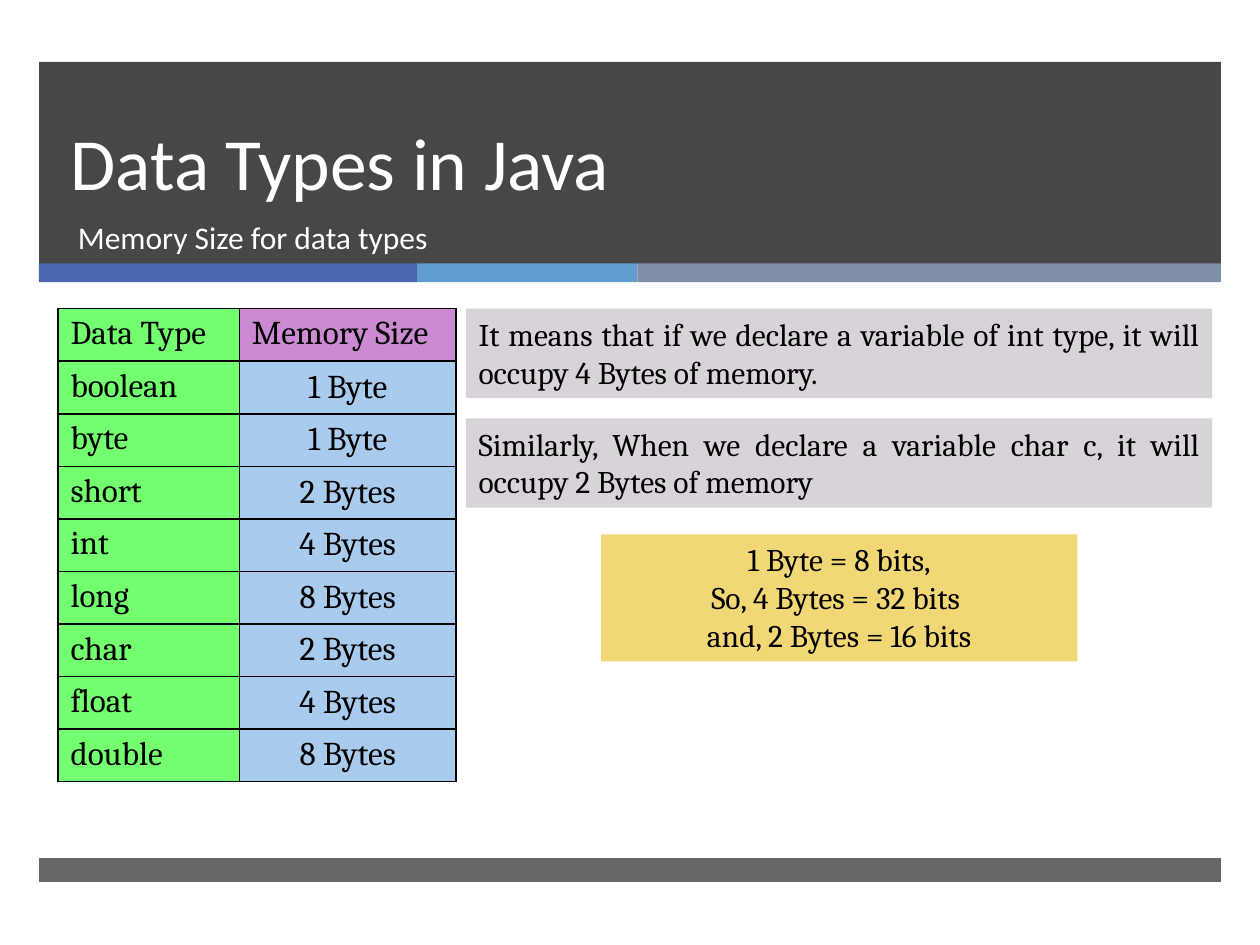
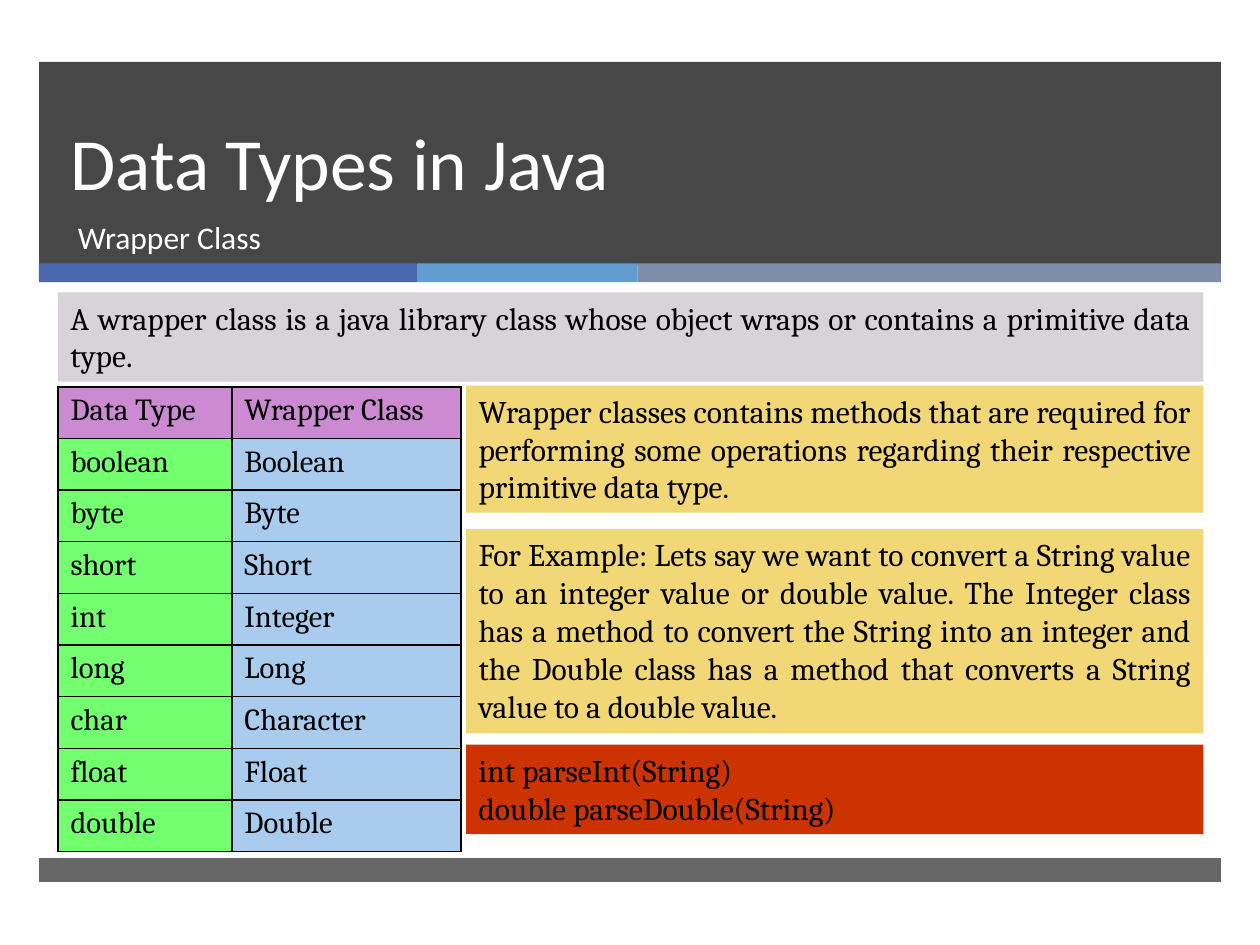
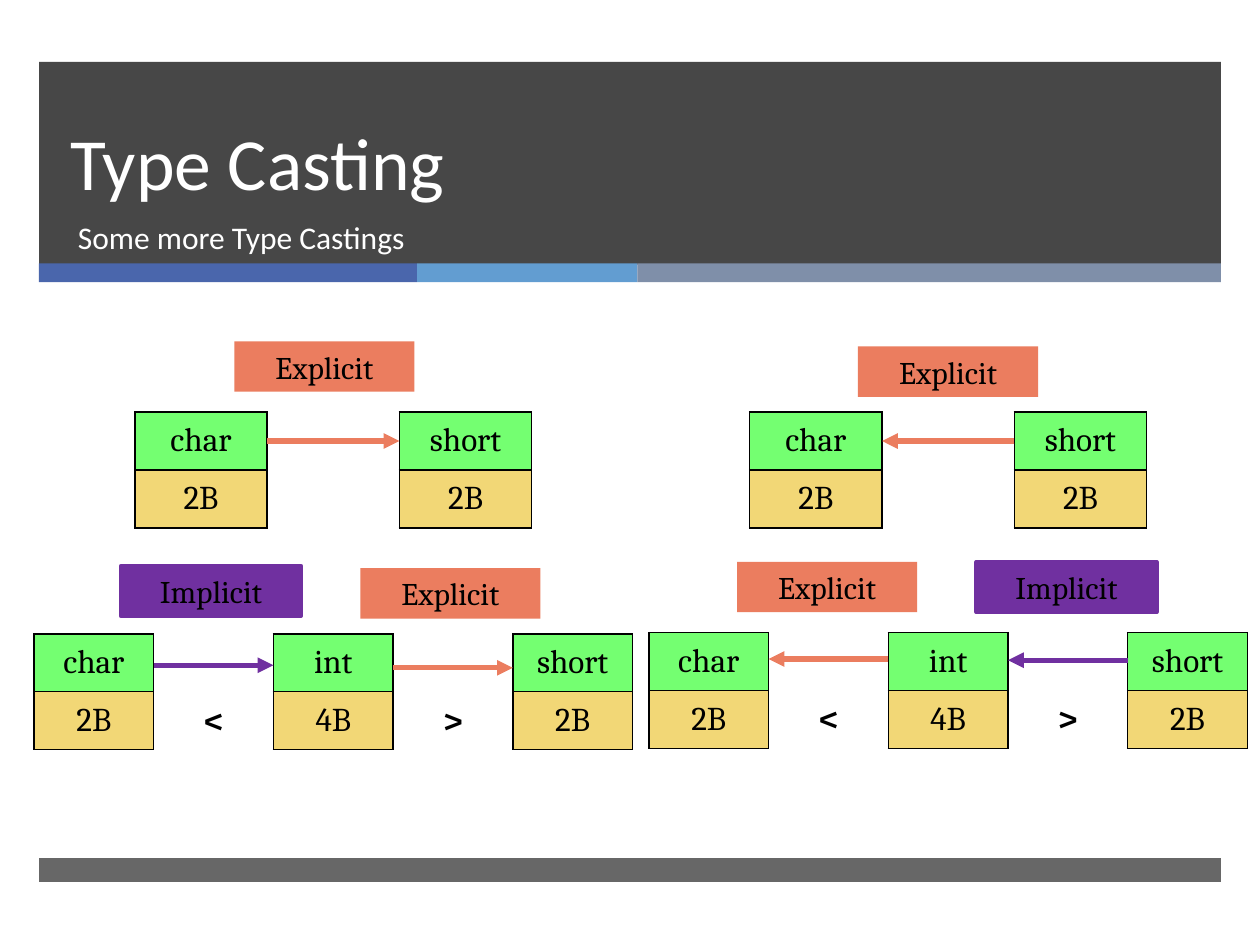
"""Builds three slides on Java data types, wrapper classes and type casting."""
from itertools import accumulate

from lxml.etree import SubElement
from pptx import Presentation
from pptx.dml.color import RGBColor
from pptx.enum.shapes import MSO_CONNECTOR, MSO_SHAPE
from pptx.enum.text import MSO_ANCHOR, MSO_AUTO_SIZE, PP_ALIGN
from pptx.oxml.ns import qn
from pptx.util import Inches, Pt

COLORS = {
    "black": "000000", "white": "FFFFFF", "header": "474747", "footer": "676767",
    "blue": "4A66AC", "sky": "629DD1", "slate": "7F8FA9", "green": "74FF71",
    "purple": "CB8AD2", "pale": "A9CCEE", "yellow": "F2D776", "grey": "D8D3D9",
    "red": "CC3300", "Explicit": "EB7D5F", "Implicit": "7030A0",
}
WIDTH, HEIGHT = 10, 7.5
MARGIN = 0.31
STRIPES = [("blue", 3), ("sky", 1.75), ("slate", 4.63)]
CONTENT_LEFT, NOTES_LEFT = 0.46, 3.7
TYPE_ROW, CAST_ROW = 0.41, 0.46
LABEL_SIZE = (1.43, 0.4)
ALIGN = {"left": PP_ALIGN.LEFT, "center": PP_ALIGN.CENTER, "justify": PP_ALIGN.JUSTIFY}
ANCHOR = {"top": MSO_ANCHOR.TOP, "middle": MSO_ANCHOR.MIDDLE, "bottom": MSO_ANCHOR.BOTTOM}

TYPES = ["boolean", "byte", "short", "int", "long", "char", "float", "double"]
SIZES = ["1 Byte", "1 Byte", "2 Bytes", "4 Bytes", "8 Bytes", "2 Bytes", "4 Bytes", "8 Bytes"]
WRAPPERS = ["Boolean", "Byte", "Short", "Integer", "Long", "Character", "Float", "Double"]

TYPE_SLIDES = [
    dict(
        title="Data Types in Java", subtitle="Memory Size for data types",
        heads=[("Data Type", "green"), ("Memory Size", "purple")], values=SIZES,
        top=2.45, columns=[1.44, 1.72], size=19,
        value_format=dict(align="center", anchor="middle"),
        notes=[
            ("It means that if we declare a variable of int type, it will occupy 4 Bytes of memory.",
             "grey", (NOTES_LEFT, 2.45, 5.92, 0.71), "justify"),
            ("Similarly, When we declare a variable char c, it will occupy 2 Bytes of memory",
             "grey", (NOTES_LEFT, 3.32, 5.92, 0.71), "justify"),
            ("1 Byte = 8 bits,\nSo, 4 Bytes = 32 bits \nand, 2 Bytes = 16 bits",
             "yellow", (4.77, 4.24, 3.78, 1.01), "center"),
        ],
    ),
    dict(
        title="Data Types in Java", subtitle="Wrapper Class",
        heads=[("Data Type", "purple"), ("Wrapper Class", "purple")], values=WRAPPERS,
        top=3.07, columns=[1.38, 1.82], size=17.5, value_format={},
        notes=[
            ("A wrapper class is a java library class whose object wraps or contains "
             "a primitive data type. ",
             "grey", (CONTENT_LEFT, 2.32, 9.09, 0.71), "justify"),
            ("Wrapper classes contains methods that are required for performing some "
             "operations regarding their respective primitive data type.",
             "yellow", (NOTES_LEFT, 3.06, 5.85, 1.01), "justify"),
            ("For Example: Lets say we want to convert a String value to an integer value or "
             "double value. The Integer class has a method to convert the String into an "
             "integer and the Double class has a method that converts a String value to a "
             "double value.",
             "yellow", (NOTES_LEFT, 4.2, 5.85, 1.62), "justify"),
            ("int parseInt(String)\ndouble parseDouble(String)",
             "red", (NOTES_LEFT, 5.91, 5.85, 0.71), "left"),
        ],
    ),
]

PAIR = (["char", "", "short"], ["2B", "", "2B"])
TRIPLE = (["char", "", "int", "", "short"], ["2B", "<", "4B", ">", "2B"])
CAST_SLIDE = dict(
    title="Type Casting", subtitle="Some more Type Castings",
    chains=[
        dict(rows=PAIR, at=(1.07, 3.27), column=1.05, backward=False, label_shift=0.26,
             casts=[("Explicit", 0.23, 0.79)]),
        dict(rows=PAIR, at=(5.95, 3.27), column=1.05, backward=True, label_shift=0.19,
             casts=[("Explicit", 0.23, 0.75)]),
        dict(rows=TRIPLE, at=(0.27, 5.03), column=0.95, backward=False, label_shift=0.26,
             casts=[("Implicit", 0.25, 0.79), ("Explicit", 0.27, 0.79)]),
        dict(rows=TRIPLE, at=(5.15, 5.02), column=0.95, backward=True, label_shift=0.25,
             casts=[("Explicit", 0.21, 0.77), ("Implicit", 0.22, 0.78)]),
    ],
)


def rgb(name):
    return RGBColor.from_string(COLORS[name])


def inches(lengths):
    return [Inches(length) for length in lengths]


def write(frame, text, size=18, font="Cambria", color="black", bold=False,
          align="left", anchor="top", spacing=None):
    frame.word_wrap = True
    frame.vertical_anchor = ANCHOR[anchor]
    frame.text = text
    for paragraph in frame.paragraphs:
        paragraph.alignment = ALIGN[align]
        if spacing:
            paragraph.line_spacing = Pt(spacing)
        for run in paragraph.runs:
            run.font.size, run.font.name, run.font.bold = Pt(size), font, bold
            run.font.color.rgb = rgb(color)


def add_box(slide, color, box, text="", outline=None, **text_format):
    shape = slide.shapes.add_shape(MSO_SHAPE.RECTANGLE, *inches(box))
    shape.shadow.inherit = False
    shape.fill.solid()
    shape.fill.fore_color.rgb = rgb(color)
    if outline:
        shape.line.color.rgb = rgb(color)
        shape.line.width = Pt(outline)
    else:
        shape.line.fill.background()
    if text:
        write(shape.text_frame, text, **text_format)
    return shape


def add_bands(slide):
    span = WIDTH - 2 * MARGIN
    bands = [("header", (MARGIN, 0.49, span, 1.61)), ("footer", (MARGIN, 6.81, span, 0.19))]
    lefts = accumulate((width for _, width in STRIPES), initial=MARGIN)
    bands += [(color, (left, 2.09, width, 0.15)) for (color, width), left in zip(STRIPES, lefts)]
    layout_tree = slide.slide_layout.shapes._spTree
    for index, (color, box) in enumerate(bands):
        layout_tree.insert(2 + index, add_box(slide, color, box)._element)


def add_slide(deck, title, subtitle):
    slide = deck.slides.add_slide(deck.slide_layouts[5])
    heading = slide.shapes.title
    heading.left, heading.top, heading.width, heading.height = inches((CONTENT_LEFT, 0.49, 8.54, 1.19))
    write(heading.text_frame, title, size=42, font="Calibri", color="white",
          anchor="bottom", spacing=46)
    heading.text_frame.auto_size = MSO_AUTO_SIZE.NONE
    subheading = slide.shapes.add_textbox(*inches((0.52, 1.68, 8.48, 0.53)))
    write(subheading.text_frame, subtitle, font="Calibri", color="white")
    return slide


def add_borders(cell, sides):
    properties = cell._tc.get_or_add_tcPr()
    for side in "LRTB":
        border = SubElement(properties, qn(f"a:ln{side}"), w=str(Pt(1)))
        if side in sides:
            fill = SubElement(border, qn("a:solidFill"))
            SubElement(fill, qn("a:srgbClr"), val=COLORS["black"])
        else:
            SubElement(border, qn("a:noFill"))


def add_grid(slide, at, columns, row_height, rows):
    """Draws rows of (text, fill, format); a cell without fill is open above and below."""
    size = (sum(columns), row_height * len(rows))
    table = slide.shapes.add_table(len(rows), len(columns), *inches(at + size)).table
    table.first_row = table.horz_banding = False
    for column, width in zip(table.columns, columns):
        column.width = Inches(width)
    for row, cells in zip(table.rows, rows):
        row.height = Inches(row_height)
        for cell, (text, fill, text_format) in zip(row.cells, cells):
            add_borders(cell, "LRTB" if fill else "LR")
            if fill:
                cell.fill.solid()
                cell.fill.fore_color.rgb = rgb(fill)
            else:
                cell.fill.background()
            write(cell.text_frame, text, **text_format)
            cell.vertical_anchor = ANCHOR[text_format.get("anchor", "top")]


def add_arrow(slide, color, start, end, y):
    arrow = slide.shapes.add_connector(MSO_CONNECTOR.STRAIGHT, *inches((start, y, end, y)))
    arrow.line.color.rgb = rgb(color)
    arrow.line.width = Pt(3)
    SubElement(arrow.line._get_or_add_ln(), qn("a:tailEnd"), type="triangle")
    SubElement(arrow._element.spPr, qn("a:effectLst"))


def fill_type_slide(slide, content):
    plain = dict(size=content["size"])
    rows = [[(head, fill, plain) for head, fill in content["heads"]]]
    rows += [[(name, "green", plain), (value, "pale", plain | content["value_format"])]
             for name, value in zip(TYPES, content["values"])]
    add_grid(slide, (CONTENT_LEFT, content["top"]), content["columns"], TYPE_ROW, rows)
    for text, color, box, align in content["notes"]:
        add_box(slide, color, box, text, align=align)


def add_chain(slide, chain):
    (left, top), column = chain["at"], chain["column"]
    centered = dict(size=19, align="center", anchor="middle")
    sign = centered | dict(size=20, bold=True)
    rows = [[(text, None, sign) if index % 2 else (text, fill, centered)
             for index, text in enumerate(texts)]
            for texts, fill in zip(chain["rows"], ("green", "yellow"))]
    add_grid(slide, (left, top), [column] * len(rows[0]), CAST_ROW, rows)
    for index, (cast, drop, rise) in enumerate(chain["casts"]):
        start = left + (2 * index + 1) * column
        ends = (start + column, start) if chain["backward"] else (start, start + column)
        y = top + drop
        add_arrow(slide, cast, *ends, y)
        add_box(slide, cast, (start - chain["label_shift"], y - rise) + LABEL_SIZE, cast,
                outline=2.25 if cast == "Implicit" else None, align="center")


def main():
    deck = Presentation()
    deck.slide_width, deck.slide_height = inches((WIDTH, HEIGHT))
    for content in TYPE_SLIDES:
        fill_type_slide(add_slide(deck, content["title"], content["subtitle"]), content)
    cast_slide = add_slide(deck, CAST_SLIDE["title"], CAST_SLIDE["subtitle"])
    for chain in CAST_SLIDE["chains"]:
        add_chain(cast_slide, chain)
    add_bands(cast_slide)
    deck.save("out.pptx")


if __name__ == "__main__":
    main()
